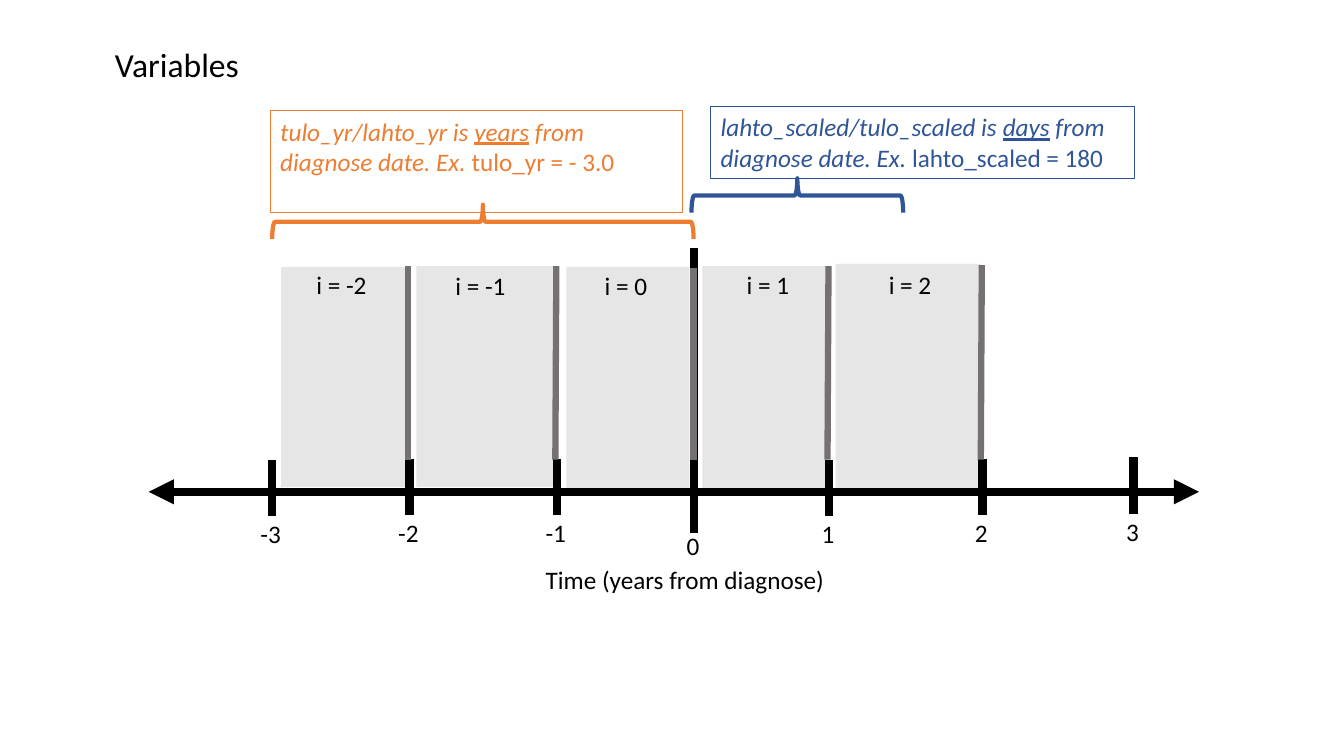
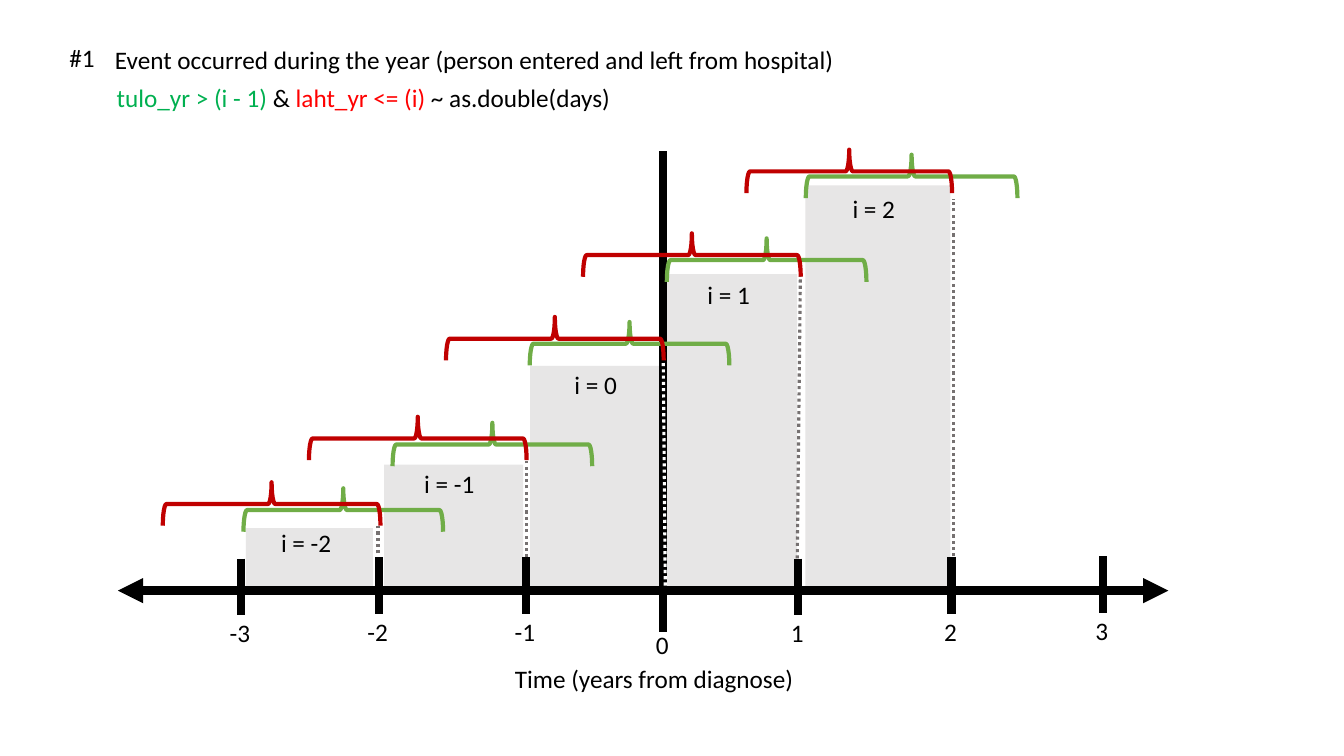
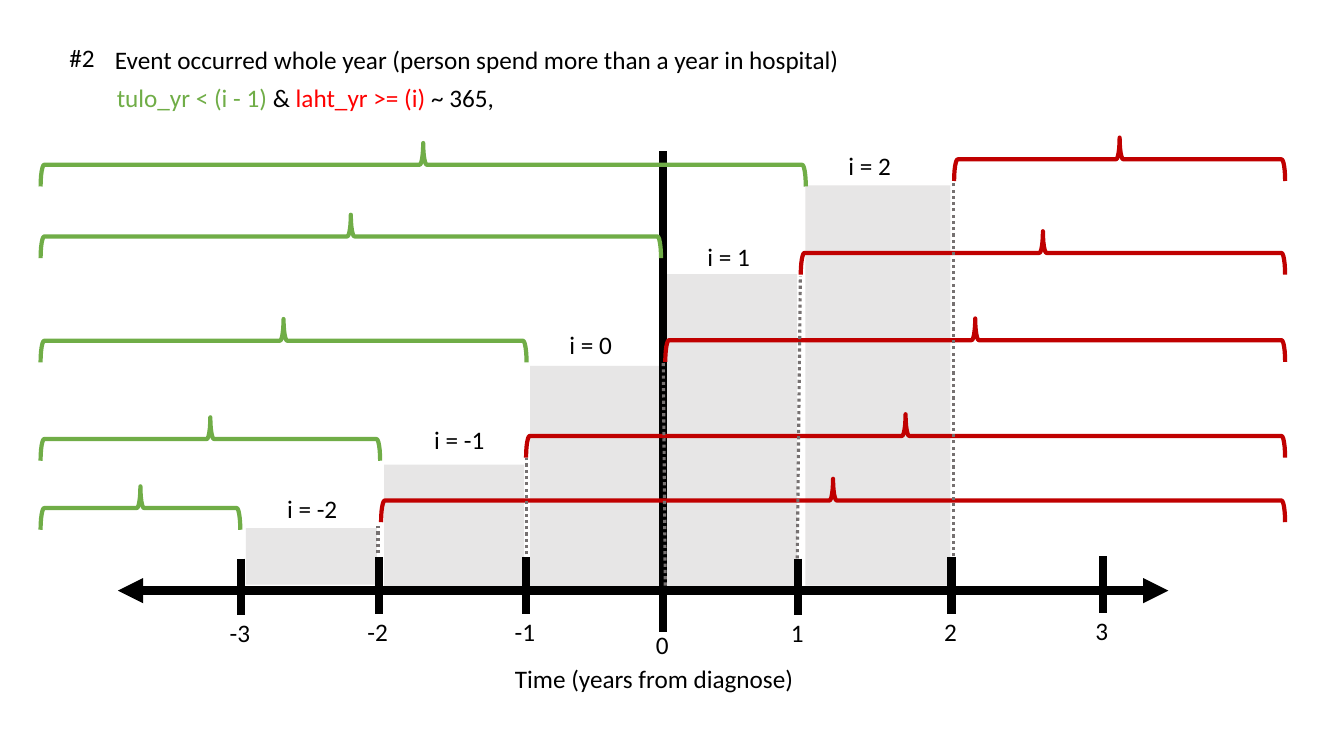
"""Build three slides on hospital stay timelines around the diagnosis date."""
from lxml import etree
from pptx import Presentation
from pptx.dml.color import RGBColor
from pptx.enum.dml import MSO_LINE
from pptx.enum.shapes import MSO_CONNECTOR, MSO_SHAPE
from pptx.enum.text import MSO_ANCHOR, MSO_AUTO_SIZE, PP_ALIGN
from pptx.oxml.ns import qn
from pptx.util import Pt

STRAIGHT = MSO_CONNECTOR.STRAIGHT
RECT = MSO_SHAPE.RECTANGLE
LEFT_BRACE, RIGHT_BRACE = MSO_SHAPE.LEFT_BRACE, MSO_SHAPE.RIGHT_BRACE
DOTTED = MSO_LINE.ROUND_DOT
GROW, NO_FIT = MSO_AUTO_SIZE.SHAPE_TO_FIT_TEXT, MSO_AUTO_SIZE.NONE
TOP, LEFT = MSO_ANCHOR.TOP, PP_ALIGN.LEFT

BLACK = RGBColor(0x00, 0x00, 0x00)
WHITE = RGBColor(0xFF, 0xFF, 0xFF)
PALE = RGBColor(0xE7, 0xE6, 0xE6)
GREY = RGBColor(0x76, 0x71, 0x71)
ORANGE = RGBColor(0xED, 0x7D, 0x31)
BLUE = RGBColor(0x2F, 0x55, 0x97)
GREEN = RGBColor(0x70, 0xAD, 0x47)
BRIGHT_GREEN = RGBColor(0x00, 0xB0, 0x50)
RED = RGBColor(0xFF, 0x00, 0x00)
DARK_RED = RGBColor(0xC0, 0x00, 0x00)

FONT, SIZE, LINE_H = "Calibri", 18, 29
YEARS = (-2, -1, 0, 1, 2)
AXIS = (84.2, 834.5, 421.9)
TICK_H, ZERO_BOTTOM = 40.4, 451.4
TICKS = [("-3", 172.2, 399), ("-2", 270.6, 398.2), ("-1", 375.8, 398.2),
         ("1", 570.2, 399), ("2", 679.7, 398.2), ("3", 787.7, 397.4)]
ZERO_X = 473.8
CAPTION = "Time (years from diagnose)"

STEPS = [(175.7, 377.3), (274.3, 331.9), (378.7, 261.4), (475.9, 195.8), (575.3, 132.5)]
DOTS = [(270, 395.3, 270, 375.8), (375.8, 398.2, 375.8, 329),
        (475.2, 418.3, 473.8, 259.2), (569.5, 398.9, 571.7, 197.3),
        (681.1, 397.4, 681.1, 141.8)]
FAR_LEFT, FAR_RIGHT = 29, 918

NOTES = [
    ((193, 79.2, 294.5, 72.7), ORANGE,
     [("tulo_yr/lahto_yr is ", {"italic": True}),
      ("years", {"italic": True, "underline": True}),
      (" from diagnose date. Ex. ", {"italic": True}),
      ("tulo_yr = - 3.0", {})]),
    ((507.6, 76.3, 303.1, 51.1), BLUE,
     [("lahto_scaled/tulo_scaled is ", {"italic": True}),
      ("days", {"italic": True, "underline": True}),
      (" from diagnose date. Ex. ", {"italic": True}),
      ("lahto_scaled = 180", {})]),
]

SLIDES = [
    {
        "title": ("Variables", 24, 104.4, 36),
        "shift": (22, -70.6),
        "zero_top": 177.1,
        "bars": [(200.9, 190.8, 90, 157), (297.4, 190.1, 98.6, 157.7),
                 (404.6, 190.8, 87.8, 157.7), (501.8, 190.1, 89.3, 158.4),
                 (596.9, 188.6, 103.7, 162.7)],
        "labels": [(218.9, 188.6), (318.2, 189.4), (424.8, 189.4),
                   (526.3, 188.6), (627.8, 188.6)],
        "braces": [(ORANGE, [(194.4, 495.4, 146.2)]), (BLUE, [(493.9, 645.1, 127.4)])],
        "brace_form": (LEFT_BRACE, 90, 24.5),
        "limits": [(291.6, 328.3, 291.6, 190.1), (396.7, 328.3, 397.4, 190.1),
                   (495.4, 328.3, 495.4, 191.5), (591.1, 328.3, 591.8, 190.1),
                   (700.6, 328.3, 701.3, 189.4)],
        "limit_style": (4.5, None),
        "zero_color": GREY,
        "notes": NOTES,
    },
    {
        "title": ("Event occurred during the year (person entered and left from hospital)",
                  SIZE, 530.6, LINE_H),
        "number": "#1",
        "rule": (371.5, [("tulo_yr > (i - 1) ", BRIGHT_GREEN), ("& ", BLACK),
                         ("laht_yr <= (i) ", RED), ("~ as.double(days)", BLACK)]),
        "shift": (0, 0),
        "zero_top": 108,
        "bars": [step + size for step, size in zip(STEPS, [
            (90.7, 41.8), (99.4, 87.1), (92.2, 157.7), (93.6, 223.2), (103.7, 289.4)])],
        "labels": [(193.7, 373), (295.9, 331.2), (403.2, 259.9),
                   (498.2, 195.8), (601.9, 134.6)],
        "braces": [
            (GREEN, [(173.9, 316.5, 348.8), (280.4, 423, 302), (378.4, 521, 230),
                     (476.3, 618.9, 170.3), (575.6, 726.8, 110.5)]),
            (DARK_RED, [(116.3, 271.8, 344.5), (220.7, 376.2, 297.7),
                        (318.6, 474.1, 226.4), (416.5, 572, 166.7),
                        (533.2, 680.1, 106.9)])],
        "brace_form": (RIGHT_BRACE, 270, 31),
        "limits": DOTS,
        "limit_style": (2.25, DOTTED),
        "zero_color": WHITE,
    },
    {
        "title": ("Event occurred whole year (person spend more than a year in hospital)",
                  SIZE, 533.5, LINE_H),
        "number": "#2",
        "rule": (287.3, [("tulo_yr < (i - 1)", GREEN), (" & ", BLACK),
                         ("laht_yr >= (i)", RED), (" ~ 365,", BLACK)]),
        "shift": (0, 0),
        "zero_top": 108,
        "bars": [step + size for step, size in zip(STEPS, [
            (93.6, 40.3), (100.1, 87.1), (92.2, 157.7), (93.6, 223.2), (103.7, 285.8)])],
        "labels": [(198, 348.5), (303.1, 299.5), (399.6, 231.8),
                   (498.2, 168.5), (599, 103.7)],
        "braces": [
            (GREEN, [(FAR_LEFT, x, y) for x, y in [
                (171.7, 347.4), (271.6, 298.1), (376.2, 227.9),
                (472.2, 153.4), (575.6, 102.2)]]),
            (DARK_RED, [(x, FAR_RIGHT, y) for x, y in [
                (272.2, 342), (375.8, 295.9), (475.2, 227.5),
                (572, 165.2), (681.5, 98.3)]])],
        "brace_form": (RIGHT_BRACE, 270, 31),
        "limits": [DOTS[0], (375.8, 396, 375.8, 326.9), *DOTS[2:4],
                   (681.1, 397.4, 681.1, 129.6)],
        "limit_style": (2.25, DOTTED),
        "zero_color": GREY,
    },
]


def write(sp, runs, size=SIZE, wrap=False, fit=GROW):
    tf = sp.text_frame
    for name, value in {"word_wrap": wrap, "auto_size": fit, "vertical_anchor": TOP,
                        "margin_left": Pt(7.2), "margin_right": Pt(7.2),
                        "margin_top": Pt(3.6), "margin_bottom": Pt(3.6)}.items():
        setattr(tf, name, value)
    p = tf.paragraphs[0]
    p.alignment = LEFT
    for text, color, fmt in runs:
        r = p.add_run()
        r.text = text
        r.font.color.rgb = color
        for name, value in {"name": FONT, "size": Pt(size), **fmt}.items():
            setattr(r.font, name, value)


def add_text(slide, box, runs, **options):
    sp = slide.shapes.add_textbox(*map(Pt, box))
    write(sp, runs, **options)
    return sp


def add_line(slide, ends, color, width, dash=None, arrows=False):
    c = slide.shapes.add_connector(STRAIGHT, *map(Pt, ends))
    c.line.color.rgb = color
    c.line.width = Pt(width)
    if dash:
        c.line.dash_style = dash
    sp_pr = c.element.spPr
    if arrows:
        for end in ("a:headEnd", "a:tailEnd"):
            etree.SubElement(sp_pr.find(qn("a:ln")), qn(end), type="triangle")
    etree.SubElement(sp_pr, qn("a:effectLst"))


def add_bar(slide, box):
    sp = slide.shapes.add_shape(RECT, *map(Pt, box))
    sp.shadow.inherit = False
    sp.fill.solid()
    sp.fill.fore_color.rgb = PALE
    sp.line.fill.background()


def add_brace(slide, span, color, form):
    kind, rotation, depth = form
    x1, x2, y = span
    length = x2 - x1
    box = ((x1 + x2 - depth) / 2, y + (depth - length) / 2, depth, length)
    sp = slide.shapes.add_shape(kind, *map(Pt, box))
    sp.shadow.inherit = False
    sp.rotation = rotation
    sp.fill.background()
    sp.line.color.rgb = color
    sp.line.width = Pt(3)


def add_axis(slide, shift, zero_top):
    dx, dy = shift
    x1, x2, y = AXIS
    add_line(slide, (x1 + dx, y + dy, x2 + dx, y + dy), BLACK, 6, arrows=True)
    marks = [(label, x + dx, top + dy, top + dy + TICK_H, top + dy + 38.4)
             for label, x, top in TICKS]
    bottom = ZERO_BOTTOM + dy
    marks.append(("0", ZERO_X + dx, zero_top, bottom, bottom - 5.7))
    for label, x, top, end, text_top in marks:
        add_line(slide, (x, top, x, end), BLACK, 6)
        width = 29.5 if len(label) > 1 else 23.8
        add_text(slide, (x - 0.5 - width / 2, text_top, width, LINE_H),
                 [(label, BLACK, {})])
    add_text(slide, (360.7 + dx, 470 + dy, 234, LINE_H), [(CAPTION, BLACK, {})], wrap=True)


def add_heading(slide, data):
    text, size, width, height = data["title"]
    title = slide.shapes.title
    title.left, title.top, title.width, title.height = map(Pt, (74.9, 28.1, width, height))
    write(title, [(text, BLACK, {})], size=size)
    if "number" in data:
        add_text(slide, (42.5, 26.6, 33.1, LINE_H), [(data["number"], BLACK, {})])
        width, parts = data["rule"]
        add_text(slide, (76.3, 55.4, width, LINE_H),
                 [(text, color, {}) for text, color in parts])


def build(slide, data):
    for box in data["bars"]:
        add_bar(slide, box)
    add_heading(slide, data)
    add_axis(slide, data["shift"], data["zero_top"])
    for year, (x, y) in zip(YEARS, data["labels"]):
        add_text(slide, (x, y, 83.5, LINE_H), [(f"i = {year}", BLACK, {})], wrap=True)
    for color, spans in data["braces"]:
        for span in spans:
            add_brace(slide, span, color, data["brace_form"])
    for year, ends in zip(YEARS, data["limits"]):
        color = GREY if year else data["zero_color"]
        add_line(slide, ends, color, *data["limit_style"])
    for box, color, parts in data.get("notes", []):
        sp = add_text(slide, box, [(text, color, fmt) for text, fmt in parts],
                      wrap=True, fit=NO_FIT)
        sp.line.color.rgb = color
        sp.line.width = Pt(0.75)


prs = Presentation()
prs.slide_width, prs.slide_height = Pt(960), Pt(540)
for data in SLIDES:
    build(prs.slides.add_slide(prs.slide_layouts[5]), data)
prs.save("out.pptx")
